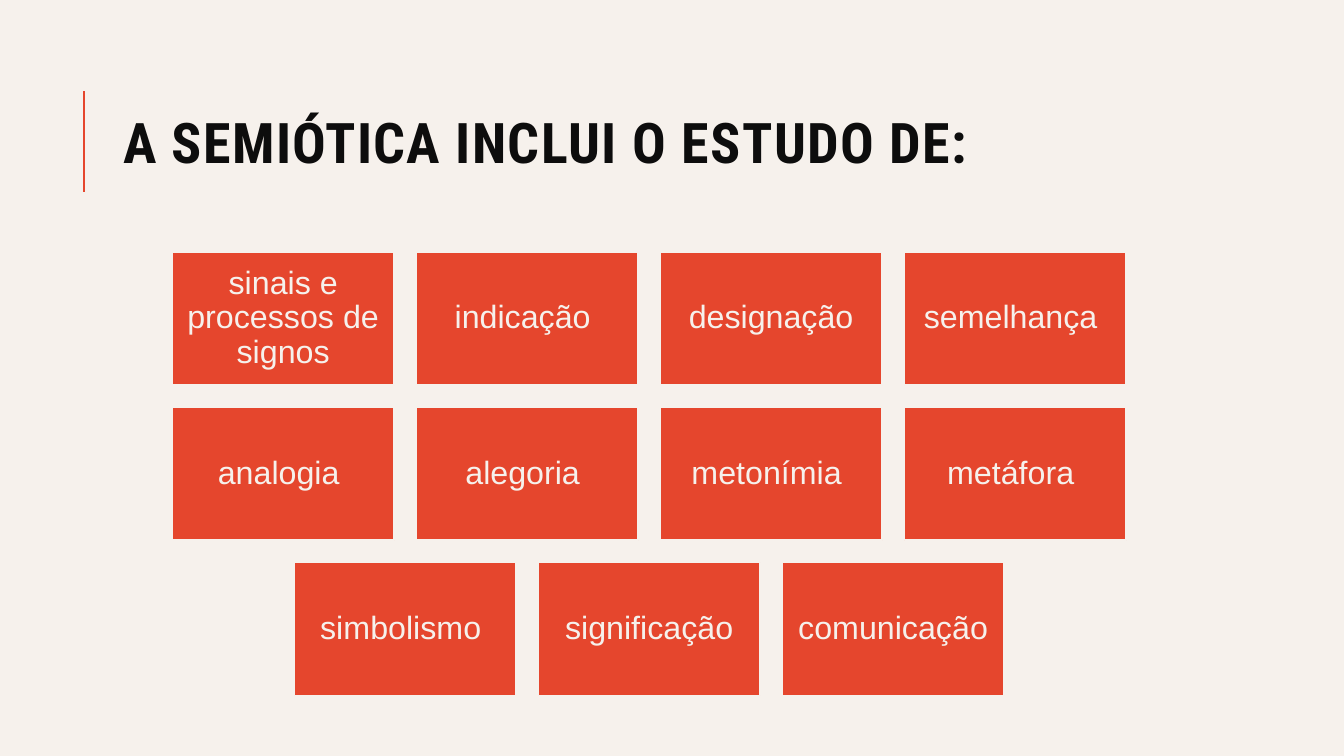
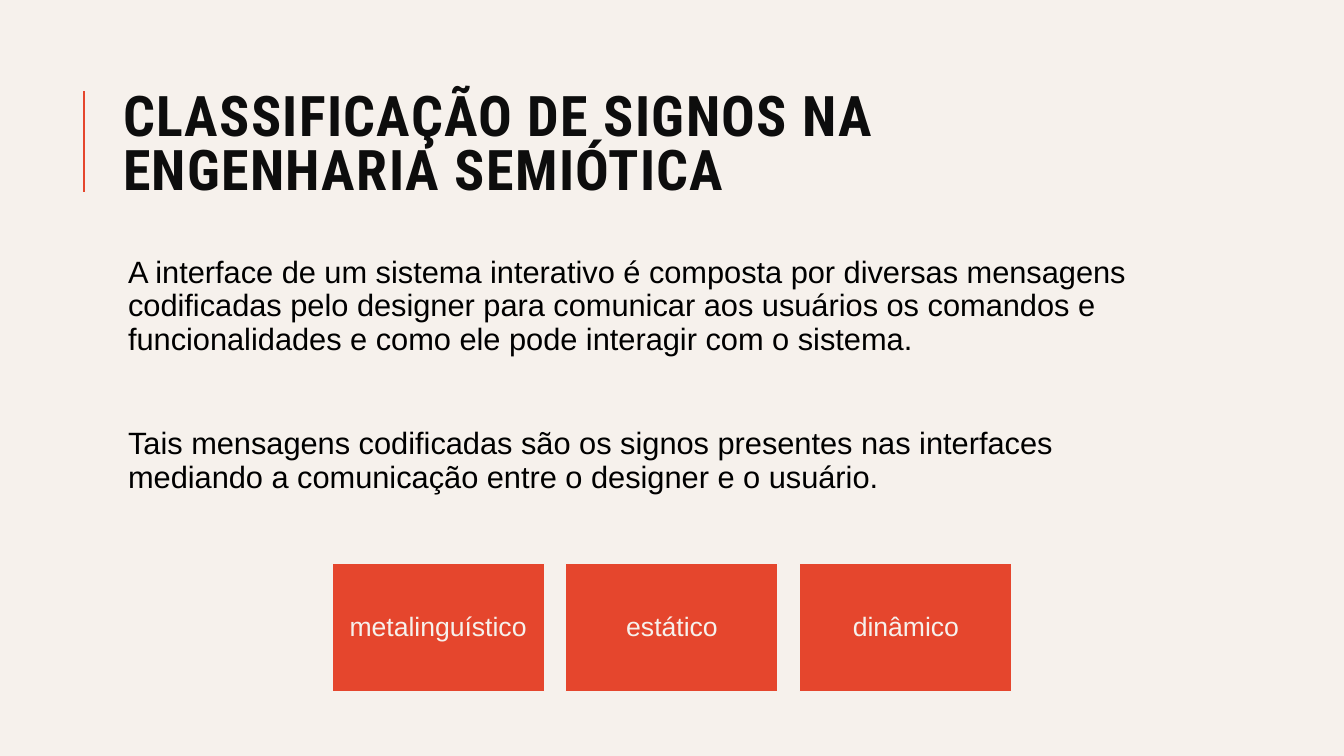
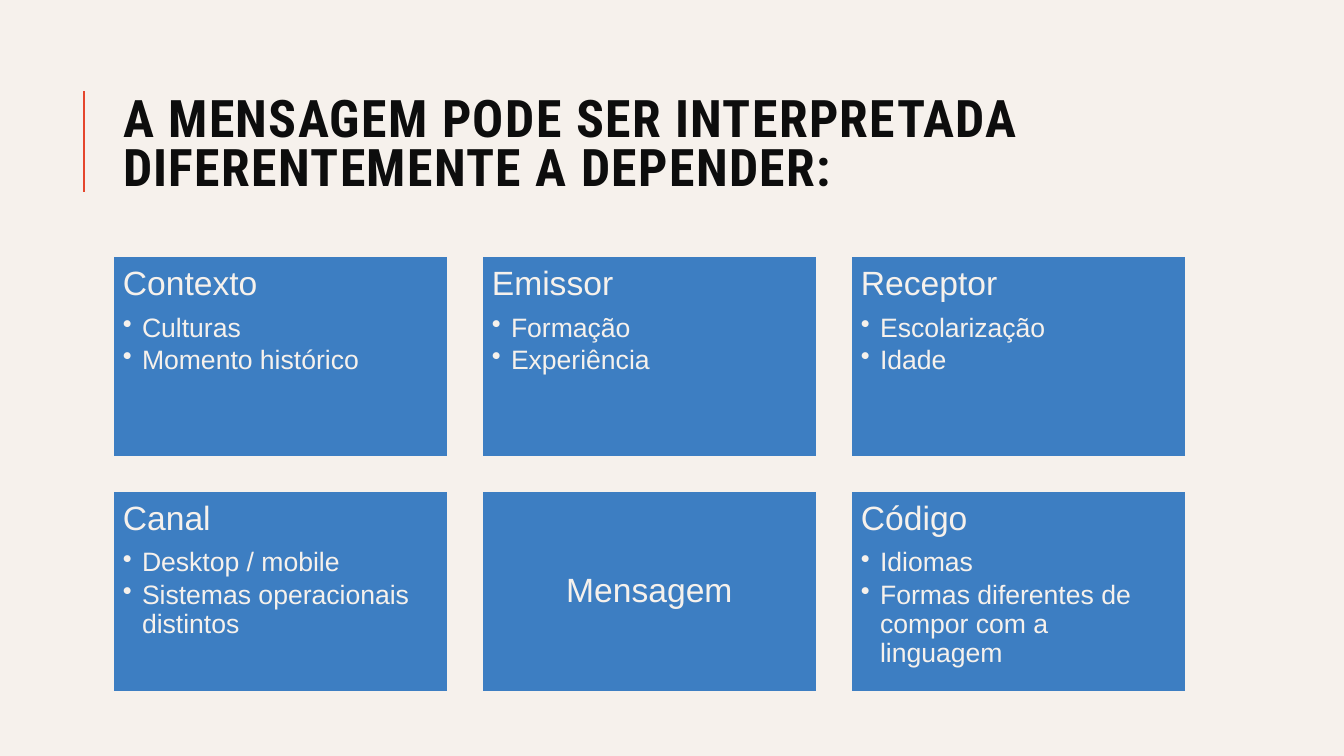
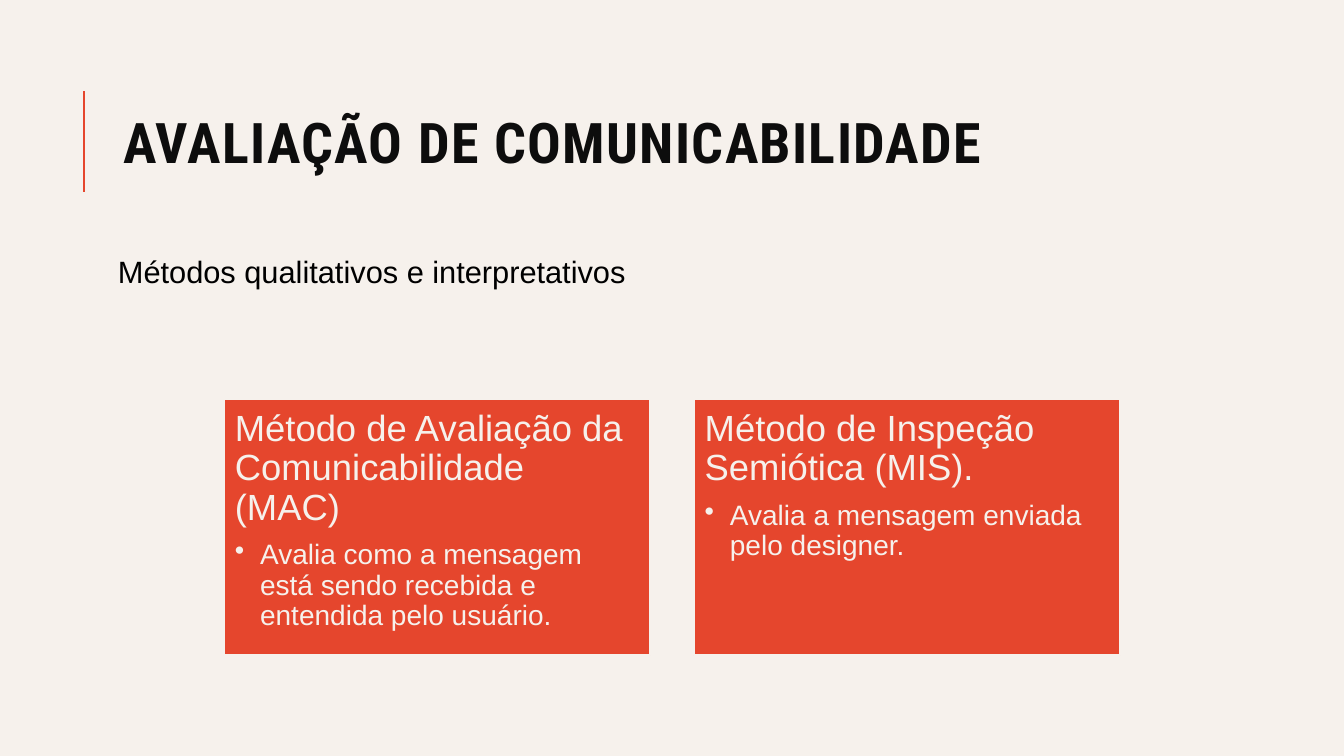
from dataclasses import dataclass

from lxml import etree
from pptx import Presentation
from pptx import util as u
from pptx.dml.color import RGBColor
from pptx.enum import shapes, text
from pptx.oxml.ns import qn

PX = 9144  # EMU per px, 100 px to the inch
COLORS = {"paper": "F6F1EC", "red": "E5462D", "blue": "3D7EC2",
          "title": "0D0D0D", "body": "000000"}
TITLE_FONT, BODY_FONT = "Roboto Condensed", "Arial"
TITLE_ONLY, TITLE_AND_BODY = 5, 1
LEFT, WIDTH = 112, 1063


@dataclass(frozen=True)
class Card:
    head: str
    bullets: tuple[str, ...] = ()


@dataclass(frozen=True)
class Grid:
    """Rows of equal cards, each row centred on the same axis."""
    center: int
    top: int
    width: int
    height: int
    gap: int
    inset: int
    head_size: int
    rows: tuple[tuple[Card, ...], ...]
    color: str = "red"
    bullet_size: int = 19
    indent: int = 19


def px(n: int) -> u.Emu:
    return u.Emu(n * PX)


def rgb(name: str) -> RGBColor:
    return RGBColor.from_string(COLORS[name])


def set_frame(tf, inset: int, anchor) -> None:
    tf.word_wrap = True
    tf.auto_size = text.MSO_AUTO_SIZE.NONE
    tf.vertical_anchor = anchor
    tf.margin_left = tf.margin_right = px(inset)
    tf.margin_top = tf.margin_bottom = px(inset)


def format_paragraph(p, font: str, size: int, color: str, spacing: float = 0.9,
                     before: float = 0, after: float = 0,
                     align=text.PP_ALIGN.LEFT) -> None:
    p.alignment, p.line_spacing = align, spacing
    p.space_before, p.space_after = u.Pt(before), u.Pt(after)
    for r in p.runs:
        r.font.name, r.font.size = font, u.Pt(size)
        r.font.color.rgb = rgb(color)


def set_bullet(p, char: str = "", margin: int = 0, indent: int = 0) -> None:
    pPr = p._p.get_or_add_pPr()
    pPr.set("marL", str(px(margin)))
    pPr.set("indent", str(px(indent)))
    if char:
        etree.SubElement(pPr, qn("a:buChar")).set("char", char)
    else:
        etree.SubElement(pPr, qn("a:buNone"))


def place(sp, left: int, top: int, width: int, height: int) -> None:
    sp.left, sp.top, sp.width, sp.height = map(px, (left, top, width, height))


def add_slide(prs, layout: int, title: str, size: int = 40):
    """Slide with the shared accent line and title style."""
    s = prs.slides.add_slide(prs.slide_layouts[layout])
    line = s.shapes.add_connector(shapes.MSO_CONNECTOR.STRAIGHT,
                                  px(83), px(190), px(83), px(90))
    line.line.color.rgb, line.line.width = rgb("red"), u.Pt(1.5)
    etree.SubElement(line._element.spPr, qn("a:effectLst"))

    sp = s.shapes.title
    place(sp, LEFT, 64, WIDTH, 164)
    tf = sp.text_frame
    tf.text = title
    set_frame(tf, 5, text.MSO_ANCHOR.MIDDLE)
    tf.margin_left = tf.margin_right = px(10)
    p = tf.paragraphs[0]
    format_paragraph(p, TITLE_FONT, size, "title", spacing=0.8)
    for r in p.runs:
        r.font.bold = True
        r._r.get_or_add_rPr().set("spc", "100")
    return s


def add_body(s, paragraphs: list[str], margin: int = 0, gap: int = 12) -> None:
    sp = s.placeholders[1]
    place(sp, LEFT, 250, WIDTH, 440)
    tf = sp.text_frame
    tf.text = "\n".join(paragraphs)
    set_frame(tf, 5, text.MSO_ANCHOR.TOP)
    for i, p in enumerate(tf.paragraphs):
        format_paragraph(p, BODY_FONT, 22, "body", before=gap if i else 12, after=2)
        set_bullet(p, margin=margin)


def add_card(s, card: Card, grid: Grid, left: int, top: int) -> None:
    sp = s.shapes.add_shape(shapes.MSO_SHAPE.RECTANGLE, px(left), px(top),
                            px(grid.width), px(grid.height))
    sp.shadow.inherit = False
    sp.fill.solid()
    sp.fill.fore_color.rgb = rgb(grid.color)
    sp.line.color.rgb, sp.line.width = rgb("paper"), u.Pt(1.25)

    # A card without bullets is centred
    anchor, align = text.MSO_ANCHOR.MIDDLE, text.PP_ALIGN.CENTER
    if card.bullets:
        anchor, align = text.MSO_ANCHOR.TOP, text.PP_ALIGN.LEFT
    tf = sp.text_frame
    tf.text = "\n".join((card.head, *card.bullets))
    set_frame(tf, grid.inset, anchor)
    head, *bullets = tf.paragraphs
    format_paragraph(head, BODY_FONT, grid.head_size, "paper",
                     after=grid.head_size * 0.35, align=align)
    for p in bullets:
        p.level = 1
        format_paragraph(p, BODY_FONT, grid.bullet_size, "paper",
                         after=grid.bullet_size * 0.15)
        set_bullet(p, "•", grid.indent, -grid.indent)


def add_grid(s, grid: Grid) -> None:
    for i, row in enumerate(grid.rows):
        total = len(row) * (grid.width + grid.gap) - grid.gap
        left = (2 * grid.center - total) // 2
        top = grid.top + i * (grid.height + grid.gap)
        for j, card in enumerate(row):
            add_card(s, card, grid, left + j * (grid.width + grid.gap), top)


def heads(*names: str) -> tuple[Card, ...]:
    return tuple(Card(name) for name in names)


STUDY_TOPICS = Grid(644, 250, 220, 132, 22, 10, 23, (
    heads("sinais e processos de signos", "indicação ", "designação", "semelhança "),
    heads("analogia ", "alegoria ", "metonímia ", "metáfora "),
    heads("simbolismo ", "significação", "comunicação"),
))

SIGN_CLASSES = Grid(667, 559, 211, 127, 21, 8, 19, (
    heads("metalinguístico", "estático", "dinâmico"),
))

MESSAGE_FACTORS = Grid(644, 254, 332, 199, 34, 10, 24, (
    (Card("Contexto", ("Culturas", "Momento histórico")),
     Card("Emissor", ("Formação", "Experiência")),
     Card("Receptor", ("Escolarização", "Idade"))),
    (Card("Canal", ("Desktop / mobile", "Sistemas operacionais distintos")),
     Card("Mensagem"),
     Card("Código", ("Idiomas", "Formas diferentes de compor com a linguagem"))),
), color="blue")

METHODS = Grid(667, 396, 423, 254, 43, 11, 26, (
    (Card("Método de Avaliação da Comunicabilidade (MAC)",
          ("Avalia como a mensagem está sendo recebida e entendida pelo usuário.",)),
     Card("Método de Inspeção Semiótica (MIS).",
          ("Avalia a mensagem enviada pelo designer.",))),
), bullet_size=20, indent=25)


def main() -> None:
    prs = Presentation()
    prs.slide_width, prs.slide_height = px(1333), px(750)
    fill = prs.slide_master.background.fill
    fill.solid()
    fill.fore_color.rgb = rgb("paper")

    # Topics of semiotics
    s = add_slide(prs, TITLE_ONLY, "A SEMIÓTICA INCLUI O ESTUDO DE:")
    add_grid(s, STUDY_TOPICS)

    # Classes of signs
    s = add_slide(prs, TITLE_AND_BODY, "CLASSIFICAÇÃO DE SIGNOS NA ENGENHARIA SEMIÓTICA")
    add_body(s, [
        "A interface de um sistema interativo é composta por diversas mensagens "
        "codificadas pelo designer para comunicar aos usuários os comandos e "
        "funcionalidades e como ele pode interagir com o sistema.",
        "Tais mensagens codificadas são os signos presentes nas interfaces "
        "mediando a comunicação entre o designer e o usuário.",
    ], margin=10, gap=49)
    add_grid(s, SIGN_CLASSES)

    # What the reading of a message depends on
    s = add_slide(prs, TITLE_ONLY,
                  "A MENSAGEM PODE SER INTERPRETADA DIFERENTEMENTE A DEPENDER:", 37)
    add_grid(s, MESSAGE_FACTORS)

    # Evaluation methods
    s = add_slide(prs, TITLE_AND_BODY, "AVALIAÇÃO DE COMUNICABILIDADE")
    add_body(s, ["Métodos qualitativos e interpretativos"])
    add_grid(s, METHODS)

    prs.save("out.pptx")


if __name__ == "__main__":
    main()
